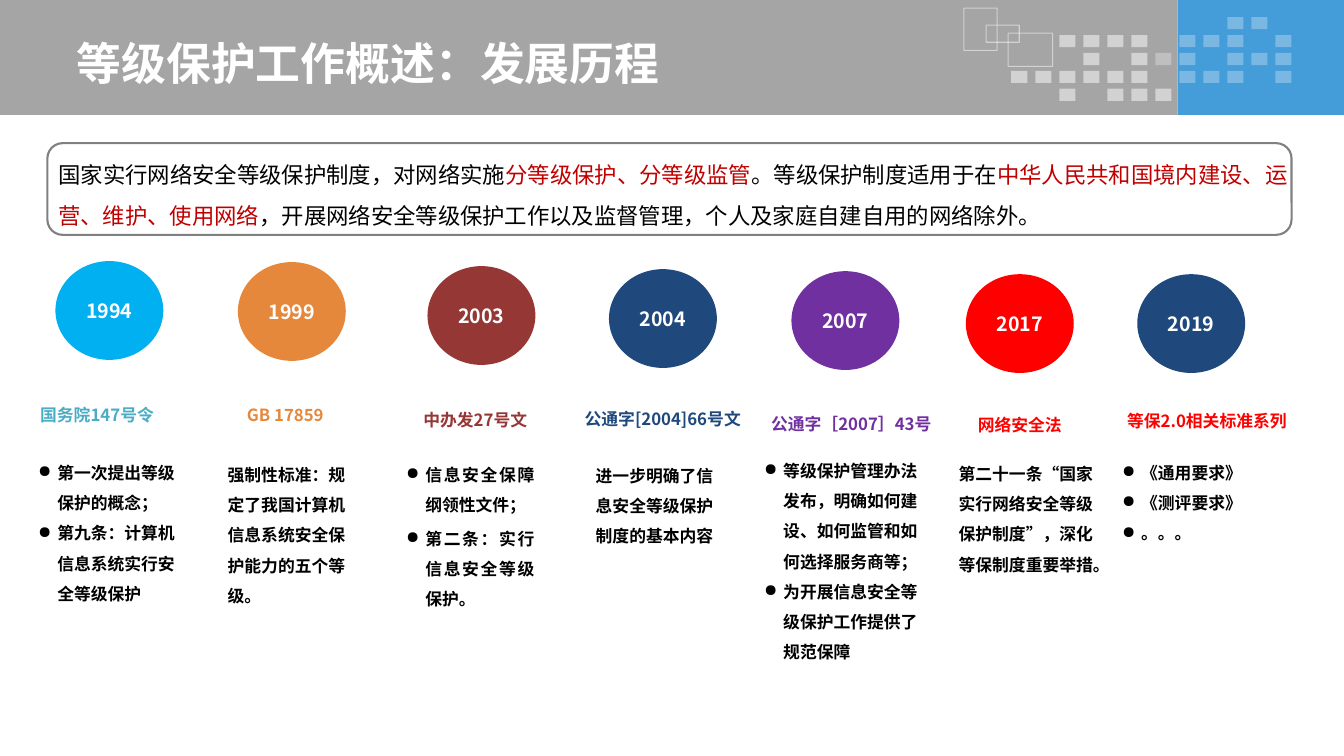
from dataclasses import dataclass

from lxml import etree
from pptx import Presentation, util as u
from pptx.dml.color import RGBColor
from pptx.enum import shapes, text
from pptx.oxml.ns import qn


@dataclass(frozen=True)
class Theme:
    font: str = "Noto Sans CJK SC"
    title: int = 32
    intro: int = 16
    year: int = 14
    body: int = 12
    white: str = "FFFFFF"
    black: str = "000000"
    gray: str = "A5A5A5"
    blue: str = "449CD8"
    border: str = "808080"
    accent: str = "C00000"


@dataclass(frozen=True)
class Milestone:
    year: str
    color: str
    origin: tuple     # circle's left and top
    heading: str
    heading_box: tuple  # offset from the circle, width
    body: tuple
    body_box: tuple   # offset from the circle, width, height
    bullets: bool = False
    heading_color: str = ""
    before: float = 0  # space before paragraphs, points
    heading_spacing: float = 1
    justify: bool = False


T = Theme()
W, H = 13.33, 7.5
HEADER_H = 1.14
DISC_W, DISC_H = 1.07, 0.98

MILESTONES = [
    Milestone("1994", "00B0F0", (0.55, 2.59), "国务院147号令", (-0.25, 1.38, 1.69),
              ("第一次提出等级保护的概念；", "第九条：计算机信息系统实行安全等级保护"),
              (-0.27, 1.85, 1.6, 1.62), bullets=True, heading_color="4BACC6"),
    Milestone("1999", "E6883C", (2.36, 2.6), "GB 17859", (-0.01, 1.37, 1.69),
              ("强制性标准：规定了我国计算机信息系统安全保护能力的五个等级。",),
              (-0.2, 1.86, 1.42, 1.62)),
    Milestone("2003", "953735", (4.24, 2.64), "中办发27号文", (-0.14, 1.38, 1.3),
              ("信息安全保障纲领性文件；", "第二条：实行信息安全等级保护。"),
              (-0.31, 1.82, 1.47, 1.86), bullets=True, before=2.4, justify=True),
    Milestone("2004", "1F497D", (6.04, 2.67), "公通字[2004]66号文", (-0.34, 1.36, 1.78),
              ("进一步明确了信息安全等级保护制度的基本内容",),
              (-0.23, 1.8, 1.41, 1.01), heading_spacing=0.9),
    Milestone("2007", "7030A0", (7.85, 2.69), "公通字［2007］43号", (-0.3, 1.37, 1.83),
              ("等级保护管理办法发布，明确如何建设、如何监管和如何选择服务商等；",
               "为开展信息安全等级保护工作提供了规范保障"),
              (-0.37, 1.73, 1.73, 2.22), bullets=True),
    Milestone("2017", "FF0000", (9.58, 2.72), "网络安全法", (0.02, 1.35, 1.69),
              ("第二十一条“国家实行网络安全等级保护制度”，深化等保制度重要举措。",),
              (-0.17, 1.73, 1.54, 1.31)),
    Milestone("2019", "1F497D", (11.28, 2.72), "等保2.0相关标准系列", (-0.2, 1.31, 1.81),
              ("《通用要求》", "《测评要求》", "。。。"),
              (-0.25, 1.72, 2.09, 1.01), bullets=True, heading_color="FF0000"),
]

INTRO = [
    ("国家实行网络安全等级保护制度，对网络实施", T.black),
    ("分等级保护、分等级监管", T.accent),
    ("。等级保护制度适用于在", T.black),
    ("中华人民共和国境内建设、运营、维护、使用网络", T.accent),
    ("，开展网络安全等级保护工作以及监督管理，个人及家庭自建自用的网络除外。", T.black),
]

# Header mosaic: # stronger, + fainter
MOSAIC = [".........++.",
          "..####.+++.+",
          "...#.#++.+++",
          "######.+++.+",
          "..#.###....."]


def inches(*values):
    return [u.Inches(v) for v in values]


def style(font, size, color, bold=False):
    font.name, font.size, font.bold = T.font, u.Pt(size), bold
    font.color.rgb = RGBColor.from_string(color)
    ea = etree.Element(qn("a:ea"), typeface=T.font)
    font._element.find(qn("a:latin")).addnext(ea)


def add_bullet(p):
    pPr = p._p.get_or_add_pPr()
    indent = u.Inches(0.19)
    pPr.set("marL", str(indent))
    pPr.set("indent", str(-indent))
    bullet = etree.Element(qn("a:buChar"), char="●")
    pPr.insert_element_before(bullet, "a:tabLst", "a:defRPr", "a:extLst")


def add_panel(s, kind, box, fill=None, line=None, width=0.75, alpha=100):
    sp = s.shapes.add_shape(kind, *inches(*box))
    sp.shadow.inherit = False
    for paint, color in ((sp.fill, fill), (sp.line.fill, line)):
        if color:
            paint.solid()
            paint.fore_color.rgb = RGBColor.from_string(color)
        else:
            paint.background()
    if line:
        sp.line.width = u.Pt(width)
    if alpha < 100:
        for clr in sp._element.spPr.findall(".//" + qn("a:srgbClr")):
            etree.SubElement(clr, qn("a:alpha"), val=str(alpha * 1000))
    return sp


def add_text(s, box):
    tf = s.shapes.add_textbox(*inches(*box)).text_frame
    tf.word_wrap = True
    tf.auto_size = text.MSO_AUTO_SIZE.SHAPE_TO_FIT_TEXT
    return tf


def build_header(s, x, y, w, h):
    rect = shapes.MSO_SHAPE.RECTANGLE
    split = 11.68
    add_panel(s, rect, (x + split, y, w - split, h), T.blue)
    add_panel(s, rect, (x, y, split, h), T.gray)
    # Mosaic of small tiles
    for row, pattern in enumerate(MOSAIC):
        for col, mark in enumerate(pattern):
            if mark != ".":
                tile = (x + 10.03 + 2.62 * col / 11, y + 0.17 + 0.71 * row / 4, 0.16, 0.12)
                add_panel(s, rect, tile, T.white, alpha=50 if mark == "#" else 29)
    # Overlapping outlines
    for dx, dy, fw, fh in ((9.56, 0.08, 0.33, 0.42), (9.78, 0.25, 0.33, 0.17),
                           (10, 0.33, 0.44, 0.33)):
        add_panel(s, rect, (x + dx, y + dy, fw, fh), line=T.white, alpha=50)
    # Title, brought in front of the band
    title = s.shapes.title
    title.left, title.top, title.width, title.height = inches(x + 0.66, y + 0.16, 9.67, 0.92)
    s.shapes._spTree.append(title._element)
    tf = title.text_frame
    tf.text = "等级保护工作概述：发展历程"
    tf.vertical_anchor = text.MSO_ANCHOR.MIDDLE
    p = tf.paragraphs[0]
    p.alignment = text.PP_ALIGN.LEFT
    style(p.font, T.title, T.white, bold=True)


def build_intro(s, x, y, w, h):
    add_panel(s, shapes.MSO_SHAPE.ROUNDED_RECTANGLE, (x, y, w, h), line=T.border, width=1.5)
    p = add_text(s, (x + 0.01, y, w + 0.05, h - 0.05)).paragraphs[0]
    p.alignment, p.line_spacing = text.PP_ALIGN.JUSTIFY, 1.5
    for wording, color in INTRO:
        r = p.add_run()
        r.text = wording
        style(r.font, T.intro, color)


def build_milestone(s, m):
    x, y = m.origin
    # Year disc
    disc = add_panel(s, shapes.MSO_SHAPE.OVAL, (x, y, DISC_W, DISC_H), m.color)
    tf = disc.text_frame
    tf.margin_left = tf.margin_right = 0
    tf.text = m.year
    p = tf.paragraphs[0]
    p.alignment = text.PP_ALIGN.CENTER
    style(p.font, T.year, T.white, bold=True)
    # Document name
    dx, dy, w = m.heading_box
    p = add_text(s, (x + dx, y + dy, w, 0.3)).paragraphs[0]
    p.text, p.line_spacing = m.heading, m.heading_spacing
    style(p.font, T.body, m.heading_color or m.color, bold=True)
    # Description
    dx, dy, w, h = m.body_box
    tf = add_text(s, (x + dx, y + dy, w, h))
    tf.text = "\n".join(m.body)
    for p in tf.paragraphs:
        p.line_spacing, p.space_before = 1.5, u.Pt(m.before)
        if m.justify:
            p.alignment = text.PP_ALIGN.JUSTIFY
        style(p.font, T.body, T.black, bold=True)
        if m.bullets:
            add_bullet(p)


def main():
    prs = Presentation()
    prs.slide_width, prs.slide_height = inches(W, H)
    s = prs.slides.add_slide(prs.slide_layouts[5])
    build_header(s, 0, 0, W, HEADER_H)
    build_intro(s, 0.47, 1.42, 12.34, 0.91)
    for m in MILESTONES:
        build_milestone(s, m)
    prs.save("out.pptx")


if __name__ == "__main__":
    main()
